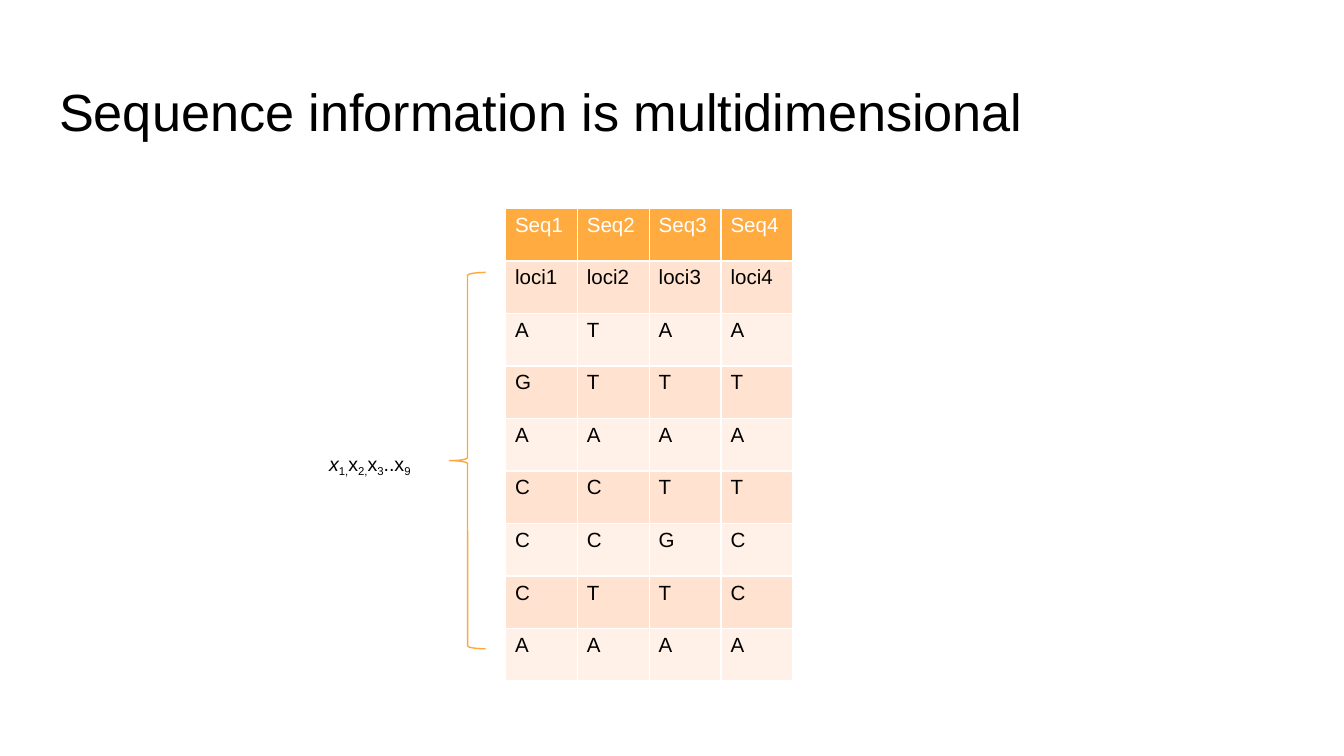
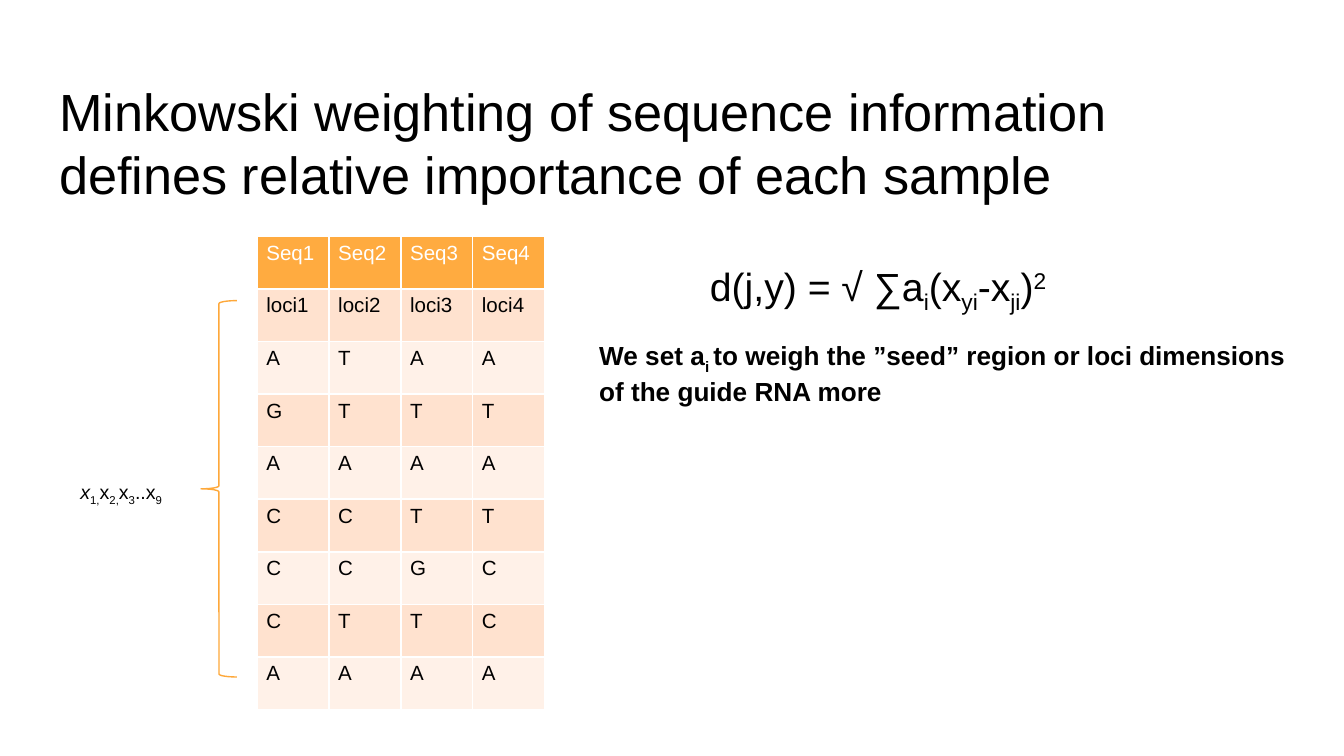
from dataclasses import dataclass

from pptx import Presentation
from pptx.dml.color import RGBColor
from pptx.enum.shapes import MSO_SHAPE
from pptx.enum.text import MSO_ANCHOR, MSO_AUTO_SIZE, PP_ALIGN
from pptx.util import Inches, Pt

BRACE = MSO_SHAPE.LEFT_BRACE
TOP = MSO_ANCHOR.TOP
LEFT = PP_ALIGN.LEFT
FIXED, GROW = MSO_AUTO_SIZE.NONE, MSO_AUTO_SIZE.SHAPE_TO_FIT_TEXT
SUB, SUP = -25000, 30000
WIDE = 10
HIGH = WIDE * 9 / 16
COL, ROW = 2.14 / 4, 3.52 / 9


@dataclass(frozen=True)
class Theme:
    font: str = "Arial"
    ink: str = "000000"
    white: str = "FFFFFF"
    head: str = "FFAB40"
    brace: str = "FEA83A"
    bands: tuple = ("FFE2CF", "FFF1E8")
    title: float = 28
    math: float = 21
    note: float = 14
    cell: float = 11
    label: float = 10.5


THEME = Theme()
HEADS = ["Seq1", "Seq2", "Seq3", "Seq4"]
LOCI = ["loci1", "loci2", "loci3", "loci4"]
BASES = ["ATAA", "GTTT", "AAAA", "CCTT", "CCGC", "CTTC", "AAAA"]
ROWS = [HEADS, LOCI, *BASES]
AXES = [("x", 0, True), ("1,", SUB), ("x", 0), ("2,", SUB),
        ("x", 0), ("3", SUB), ("..x", 0), ("9", SUB)]
RULE = [("d(j,y) = √ ∑a", 0), ("i", SUB), ("(x", 0), ("yi", SUB),
        ("-x", 0), ("ji", SUB), (")", 0), ("2", SUP)]
NOTE = [[("We set a", 0), ("i ", SUB),
         ("to weigh the ”seed” region or loci dimensions", 0)],
        [("of the guide RNA more", 0)]]


def spot(start, col, row, cols, rows):
    left, top = start
    box = left + col * COL, top + row * ROW, cols * COL, rows * ROW
    return [Inches(size) for size in box]


def style(para, size, color=THEME.ink, bold=False):
    para.alignment = LEFT
    font = para.font
    font.name, font.size, font.bold = THEME.font, Pt(size), bold
    font.color.rgb = RGBColor.from_string(color)


def write(slide, box, lines, size, bold=False, wrap=False):
    frame = slide.shapes.add_textbox(*box).text_frame
    frame.word_wrap, frame.auto_size = wrap, GROW
    for row, line in enumerate(lines):
        para = frame.add_paragraph() if row else frame.paragraphs[0]
        style(para, size, bold=bold)
        for text, shift, *slant in line:
            run = para.add_run()
            run.text = text
            if slant:
                run.font.italic = True
            if shift:
                run._r.get_or_add_rPr().set("baseline", str(shift))


def grid(slide, box):
    table = slide.shapes.add_table(len(ROWS), len(HEADS), *box).table
    for row, texts in enumerate(ROWS):
        for col, text in enumerate(texts):
            cell = table.cell(row, col)
            cell.text = text
            cell.margin_left = cell.margin_right = Inches(0.07)
            cell.margin_top = cell.margin_bottom = Inches(0.04)
            cell.fill.solid()
            shade = THEME.bands[(row - 1) % 2] if row else THEME.head
            cell.fill.fore_color.rgb = RGBColor.from_string(shade)
            para = cell.text_frame.paragraphs[0]
            style(para, THEME.cell, THEME.ink if row else THEME.white)
            para.runs[0].font.bold = False


def panel(slide, start):
    grid(slide, spot(start, 2.64, 0, len(HEADS), len(ROWS)))
    brace = slide.shapes.add_shape(BRACE, *spot(start, 1.86, 1.22, 0.5, 7.16))
    brace.shadow.inherit = False
    brace.fill.background()
    brace.line.color.rgb = RGBColor.from_string(THEME.brace)
    brace.line.width = Pt(0.75)
    write(slide, spot(start, 0, 4.5, 1.59, 0.72), [AXES], THEME.label)


def theory(slide, start):
    write(slide, spot(start, 1.54, 0, 8.36, 1.15), [RULE], THEME.math, wrap=True)
    write(slide, spot(start, 0, 1.48, 10.07, 1.46), NOTE, THEME.note, bold=True)


def page(deck, text):
    slide = deck.slides.add_slide(deck.slide_layouts[5])
    title = slide.shapes.title
    box = (0.34, 0.49, 9.32, 0.63)
    title.left, title.top, title.width, title.height = map(Inches, box)
    frame = title.text_frame
    frame.text = text
    frame.word_wrap, frame.auto_size = True, FIXED
    frame.vertical_anchor = TOP
    frame.margin_left = frame.margin_right = Inches(0.1)
    frame.margin_top = frame.margin_bottom = Inches(0.1)
    para = frame.paragraphs[0]
    style(para, THEME.title)
    para.line_spacing = 1.0
    return slide


def main():
    deck = Presentation()
    deck.slide_width, deck.slide_height = Inches(WIDE), Inches(HIGH)
    slide = page(deck, "Sequence information is multidimensional")
    panel(slide, (2.35, 1.55))
    slide = page(deck, "Minkowski weighting of sequence information "
                 "defines relative importance of each sample")
    theory(slide, (4.36, 1.9))
    panel(slide, (0.5, 1.76))
    deck.save("out.pptx")


if __name__ == "__main__":
    main()
